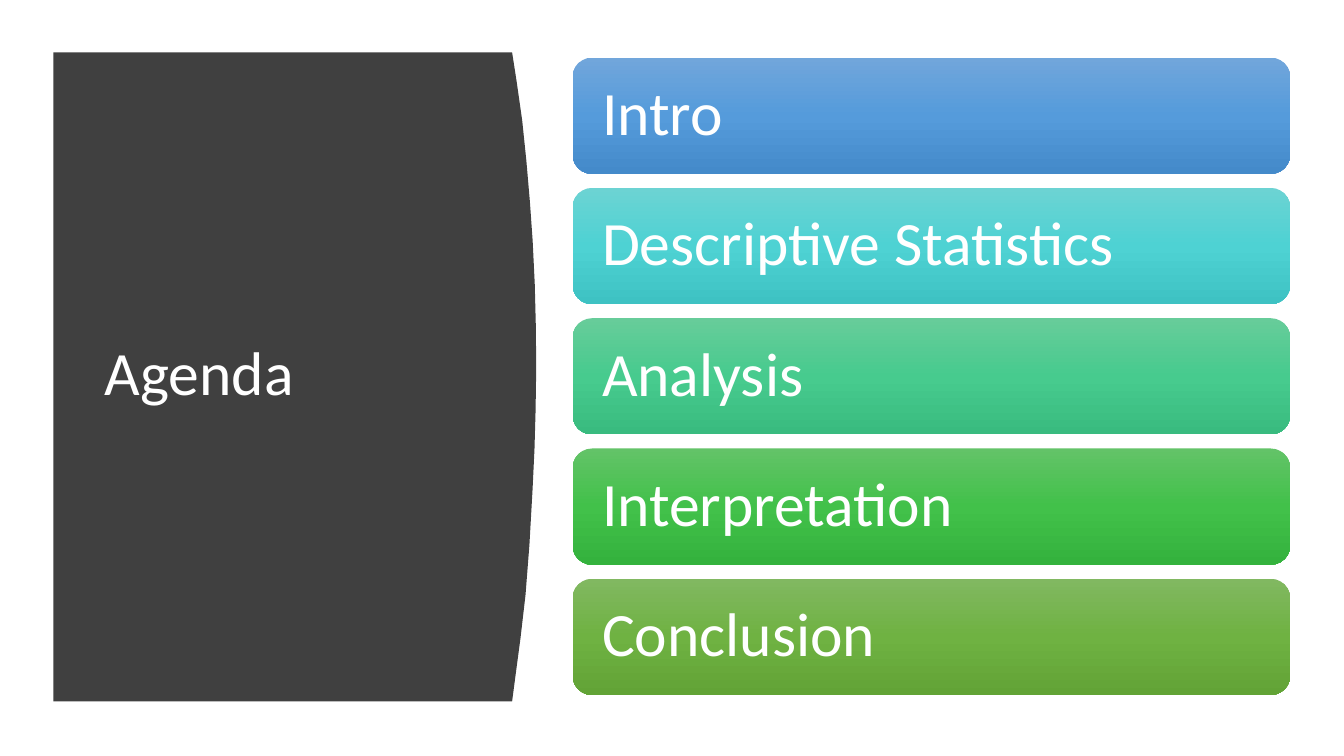
from copy import deepcopy

from pptx import Presentation
from pptx.dml.color import RGBColor
from pptx.enum.shapes import MSO_SHAPE
from pptx.enum.text import MSO_ANCHOR, PP_ALIGN
from pptx.oxml.ns import qn
from pptx.util import Pt

TITLE = "Agenda"
TOPICS = [
    ("Intro", ("71A6DB", "559BDB", "448ACA")),
    ("Descriptive Statistics", ("6CD3D3", "4ED2D3", "3EC2C3")),
    ("Analysis", ("67CC9A", "47CB8E", "39BB7F")),
    ("Interpretation", ("63C368", "42C14A", "34B23D")),
    ("Conclusion", ("81B861", "6FB242", "62A336")),
]
THEME = {"font": "Calibri", "size": 44, "text": "FFFFFF", "panel": "404040"}

PANEL_LEFT = 38.2
PANEL_EDGE = [
    (365.8, 37.4), (369, 58), (373, 86), (376, 115), (378.5, 144),
    (380.5, 172), (382, 203), (382.8, 234), (383, 264), (382.6, 293),
    (381.8, 321), (380.4, 350), (378.2, 389), (375.4, 425),
    (371.8, 456), (368.6, 480), (365.8, 501.1),
]
TITLE_BOX = (67.7, 79.9, 269.3, 377.3)
ROW_LEFT, ROW_TOP, ROW_WIDTH, ROW_HEIGHT, ROW_PITCH = 409, 41.2, 512.6, 83, 93.06
ROW_INSET = 17


def rgb(name):
    return RGBColor.from_string(name)


def write(sp, text, inset):
    tf = sp.text_frame
    tf.word_wrap = True
    tf.vertical_anchor = MSO_ANCHOR.MIDDLE
    tf.margin_left = tf.margin_right = Pt(inset)
    p = tf.paragraphs[0]
    p.text = text
    p.alignment = PP_ALIGN.LEFT
    p.line_spacing = 0.9
    p.font.name = THEME["font"]
    p.font.size = Pt(THEME["size"])
    p.font.color.rgb = rgb(THEME["text"])


def fill_gradient(sp, colors):
    sp.fill.gradient()
    sp.fill.gradient_angle = 270
    stops = sp._element.spPr.find(qn("a:gradFill")).find(qn("a:gsLst"))
    stops.insert(1, deepcopy(stops[0]))
    for i, (stop, color) in enumerate(zip(sp.fill.gradient_stops, colors)):
        stop.position = i / (len(colors) - 1)
        stop.color.rgb = rgb(color)


def add_panel(s):
    top, bottom = PANEL_EDGE[0][1], PANEL_EDGE[-1][1]
    outline = s.shapes.build_freeform(Pt(PANEL_LEFT), Pt(top))
    edge = PANEL_EDGE + [(PANEL_LEFT, bottom)]
    outline.add_line_segments([(Pt(x), Pt(y)) for x, y in edge], close=True)
    sp = outline.convert_to_shape()
    sp.shadow.inherit = False
    sp.fill.solid()
    sp.fill.fore_color.rgb = rgb(THEME["panel"])
    sp.line.fill.background()
    write(s.shapes.add_textbox(*map(Pt, TITLE_BOX)), TITLE, 7.2)


def add_topic(s, row, text, colors):
    box = (ROW_LEFT, ROW_TOP + row * ROW_PITCH, ROW_WIDTH, ROW_HEIGHT)
    sp = s.shapes.add_shape(MSO_SHAPE.ROUNDED_RECTANGLE, *map(Pt, box))
    sp.shadow.inherit = False
    sp.line.fill.background()
    fill_gradient(sp, colors)
    write(sp, text, ROW_INSET)


def main():
    prs = Presentation()
    prs.slide_width, prs.slide_height = Pt(960), Pt(540)
    s = prs.slides.add_slide(prs.slide_layouts[6])
    add_panel(s)
    for row, (text, colors) in enumerate(TOPICS):
        add_topic(s, row, text, colors)
    prs.save("out.pptx")


if __name__ == "__main__":
    main()
